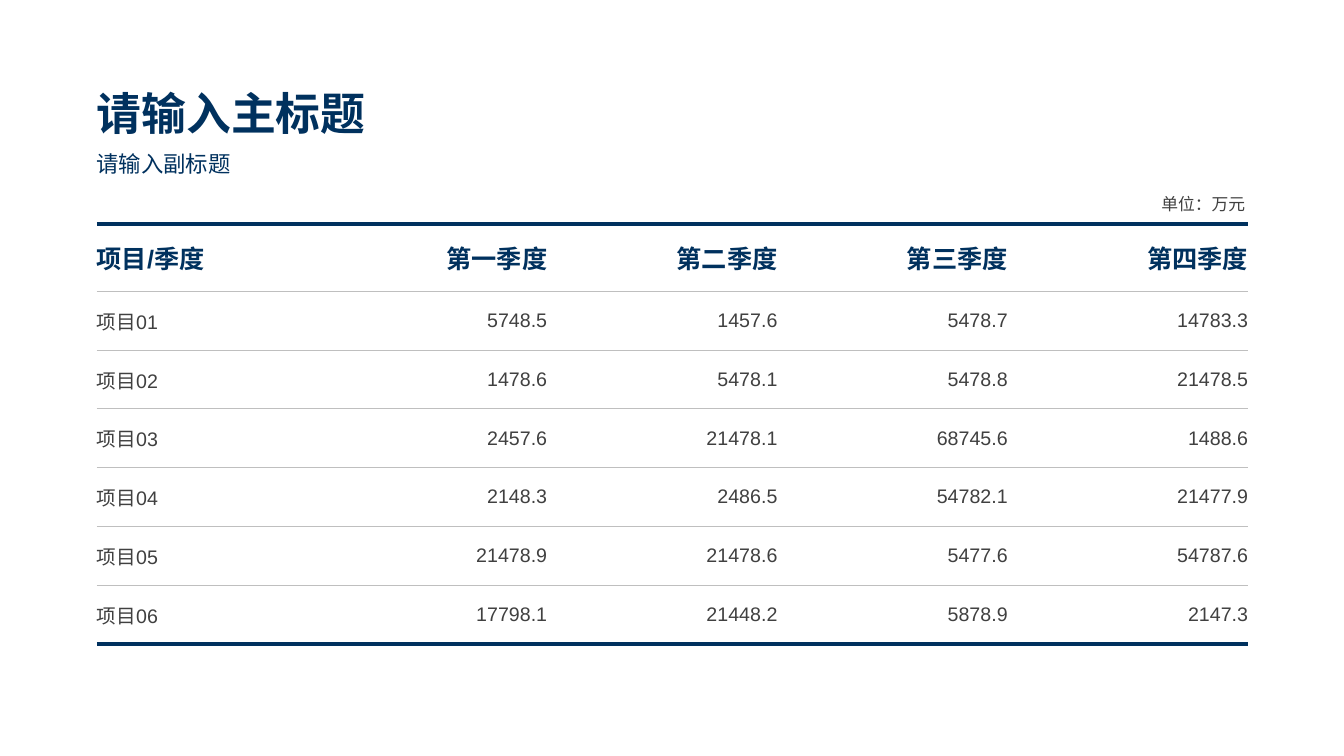
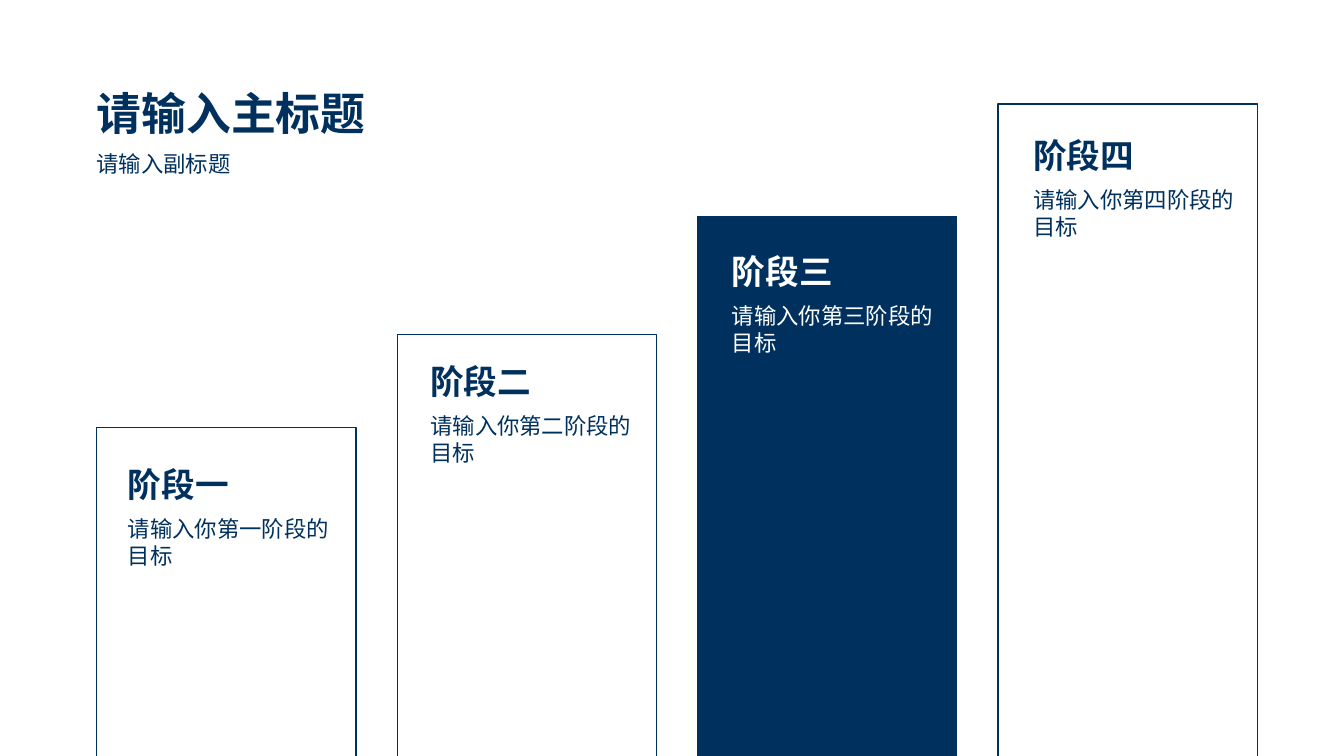
import pptx
import pptx.util
import pptx.dml.color
import pptx.enum.shapes
import pptx.enum.text
import pptx.oxml.ns
from lxml import etree

Inches = pptx.util.Inches
Pt = pptx.util.Pt
ALIGN = pptx.enum.text.PP_ALIGN

COLORS = {"navy": "00315E", "text": "404040", "rule": "BFBFBF", "white": "FFFFFF"}
FONT = "Arial"
MARGIN = 0.96

HEADERS = ["项目/季度", "第一季度", "第二季度", "第三季度", "第四季度"]
ROWS = [
    ["项目01", "5748.5", "1457.6", "5478.7", "14783.3"],
    ["项目02", "1478.6", "5478.1", "5478.8", "21478.5"],
    ["项目03", "2457.6", "21478.1", "68745.6", "1488.6"],
    ["项目04", "2148.3", "2486.5", "54782.1", "21477.9"],
    ["项目05", "21478.9", "21478.6", "5477.6", "54787.6"],
    ["项目06", "17798.1", "21448.2", "5878.9", "2147.3"],
]

STAGES = [
    {"number": "一", "top": 4.24, "inset": (0.21, 0.31)},
    {"number": "二", "top": 3.32, "inset": (0.23, 0.21)},
    {"number": "三", "top": 2.15, "inset": (0.24, 0.29), "filled": True},
    {"number": "四", "top": 1.03, "inset": (0.25, 0.26)},
]


def rgb(name):
    return pptx.dml.color.RGBColor.from_string(COLORS[name])


def add_run(paragraph, text, size, color, bold=False):
    run = paragraph.add_run()
    run.text = text
    run.font.name = FONT
    run.font.size = Pt(size)
    run.font.bold = bold
    run.font.color.rgb = rgb(color)


def add_text(slide, box, lines, size, color, bold=False, align=ALIGN.LEFT):
    shape = slide.shapes.add_textbox(*map(Inches, box))
    frame = shape.text_frame
    frame.word_wrap = False
    frame.auto_size = pptx.enum.text.MSO_AUTO_SIZE.SHAPE_TO_FIT_TEXT
    for index, line in enumerate(lines):
        paragraph = frame.add_paragraph() if index else frame.paragraphs[0]
        paragraph.alignment = align
        add_run(paragraph, line, size, color, bold)


def add_heading(slide, left, top):
    add_text(slide, (left, top, 2.89, 0.64), ["请输入主标题"], 32, "navy", bold=True)
    add_text(slide, (left, top + 0.64, 1.55, 0.37), ["请输入副标题"], 16, "navy")


def add_border(cell, side, color=None, width=0.75):
    qn = pptx.oxml.ns.qn
    properties = cell._tc.get_or_add_tcPr()
    border = etree.SubElement(properties, qn(f"a:ln{side}"), w=str(Pt(width)))
    if color is None:
        etree.SubElement(border, qn("a:noFill"))
    else:
        fill = etree.SubElement(border, qn("a:solidFill"))
        etree.SubElement(fill, qn("a:srgbClr"), val=COLORS[color])


def add_quarter_table(slide, left, top, width, height):
    records = [HEADERS] + ROWS
    last_row, last_column = len(ROWS), len(HEADERS) - 1
    header_height = 0.67
    table = slide.shapes.add_table(
        len(records), len(HEADERS), *map(Inches, (left, top, width, height))
    ).table
    table.first_row = False
    table.horz_banding = False
    for column in table.columns:
        column.width = Inches(width / len(HEADERS))
    for row_index, record in enumerate(records):
        is_header = row_index == 0
        row_height = header_height if is_header else (height - header_height) / len(ROWS)
        table.rows[row_index].height = Inches(row_height)
        for column_index, text in enumerate(record):
            cell = table.cell(row_index, column_index)
            cell.vertical_anchor = pptx.enum.text.MSO_ANCHOR.MIDDLE
            cell.margin_left = Inches(0 if column_index == 0 else 0.1)
            cell.margin_right = Inches(0 if column_index == last_column else 0.1)
            add_border(cell, "L")
            add_border(cell, "R")
            for side, edge_row in (("T", 0), ("B", last_row)):
                style = ("navy", 3) if row_index == edge_row else ("rule", 0.75)
                add_border(cell, side, *style)
            cell.fill.background()
            paragraph = cell.text_frame.paragraphs[0]
            paragraph.alignment = ALIGN.RIGHT if column_index else ALIGN.LEFT
            style = (18, "navy", True) if is_header else (14, "text")
            add_run(paragraph, text, *style)


def add_stage(slide, left, top, width, height, stage):
    filled = stage.get("filled", False)
    bar = slide.shapes.add_shape(
        pptx.enum.shapes.MSO_SHAPE.RECTANGLE, *map(Inches, (left, top, width, height))
    )
    bar.shadow.inherit = False
    if filled:
        bar.fill.solid()
        bar.fill.fore_color.rgb = rgb("navy")
    else:
        bar.fill.background()
    bar.line.color.rgb = rgb("navy")
    bar.line.width = Pt(1)

    number = stage["number"]
    color = "white" if filled else "navy"
    text_left, text_top = left + stage["inset"][0], top + stage["inset"][1]
    add_text(slide, (text_left, text_top, 1.21, 0.5), [f"阶段{number}"], 24, color, bold=True)
    goal = [f"请输入你第{number}阶段的", "目标"]
    add_text(slide, (text_left, text_top + 0.51, 2.22, 0.64), goal, 16, color)


def add_slide(presentation):
    slide = presentation.slides.add_slide(presentation.slide_layouts[6])
    add_heading(slide, MARGIN - 0.1, 0.8)
    return slide


def build_table_slide(presentation):
    slide = add_slide(presentation)
    add_quarter_table(slide, MARGIN, 2.22, 11.42, 4.17)
    add_text(slide, (11.41, 1.87, 1.04, 0.3), ["单位：万元"], 12, "text", align=ALIGN.RIGHT)


def build_stages_slide(presentation):
    slide = add_slide(presentation)
    bar_width, gap, bottom = 2.57, 0.41, 7.84
    for index, stage in enumerate(STAGES):
        left = MARGIN + index * (bar_width + gap)
        add_stage(slide, left, stage["top"], bar_width, bottom - stage["top"], stage)


def main():
    presentation = pptx.Presentation()
    presentation.slide_width = Inches(13.33)
    presentation.slide_height = Inches(7.5)
    build_table_slide(presentation)
    build_stages_slide(presentation)
    presentation.save("out.pptx")


if __name__ == "__main__":
    main()
